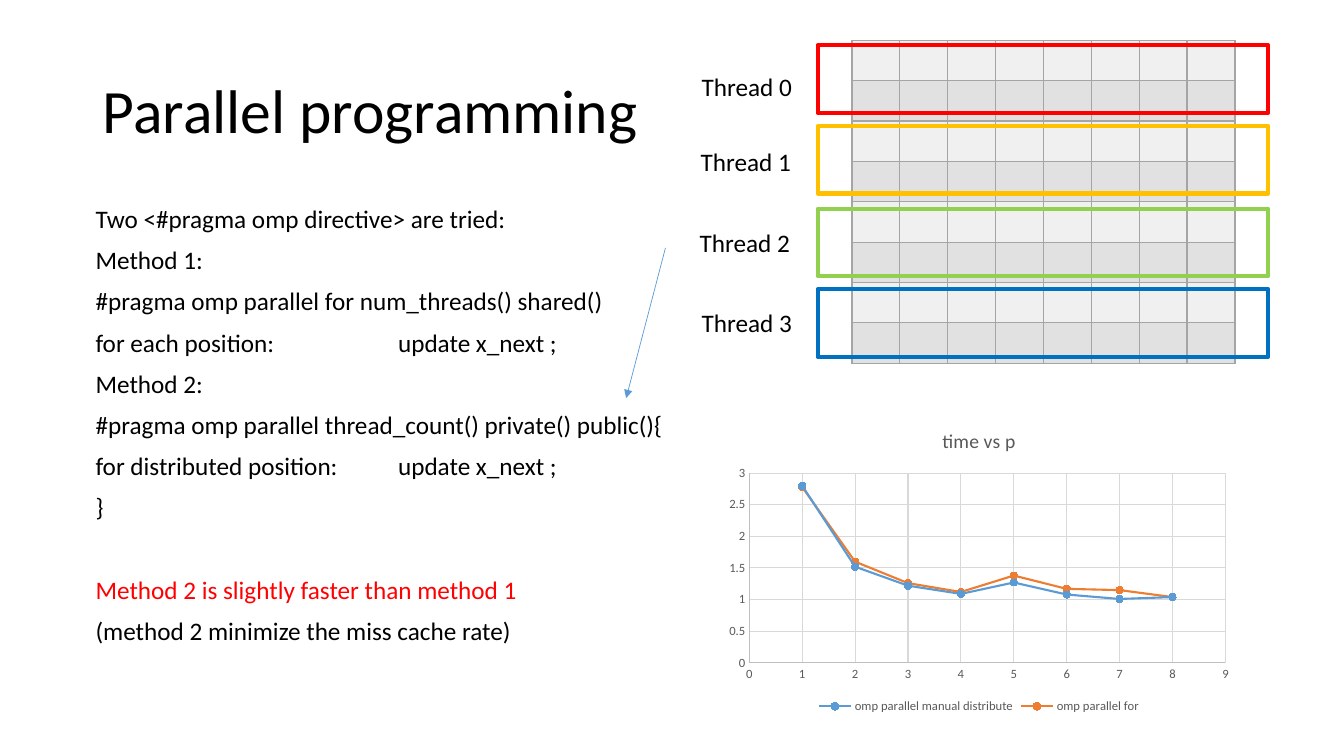
from lxml.etree import SubElement
from pptx import Presentation
from pptx.chart.data import XyChartData
from pptx.dml.color import RGBColor
from pptx.enum.chart import XL_CHART_TYPE, XL_LEGEND_POSITION, XL_MARKER_STYLE, XL_TICK_MARK
from pptx.enum.shapes import MSO_CONNECTOR, MSO_SHAPE
from pptx.enum.text import MSO_ANCHOR, MSO_AUTO_SIZE, PP_ALIGN
from pptx.oxml import parse_xml
from pptx.oxml.ns import nsdecls, qn
from pptx.util import Pt

# Content
FONT = "Calibri"
COLORS = {
    "text": "000000", "accent": "FF0000", "chart text": "595959",
    "axis": "BFBFBF", "grid": "D9D9D9", "border": "A5A5A5",
    "light row": "F0F0F0", "dark row": "E1E1E1",
    "blue": "5B9BD5", "orange": "ED7D31",
    "red frame": "FF0000", "yellow frame": "FFC000",
    "green frame": "92D050", "blue frame": "0070C0",
}
TITLE = "Parallel programming"
# (text, color, space before in points)
BODY = [
    ("Two <#pragma omp directive> are tried:", "text", 0),
    ("Method 1:", "text", 10),
    ("#pragma omp parallel for num_threads() shared()", "text", 10),
    ("for each position:\tupdate x_next ;", "text", 10),
    ("Method 2:", "text", 10),
    ("#pragma omp parallel thread_count() private() public(){", "text", 10),
    ("for distributed position:\tupdate x_next ;", "text", 10),
    ("}", "text", 10),
    ("Method 2 is slightly faster than method 1", "accent", 39.5),
    ("(method 2 minimize the miss cache rate)", "text", 10),
]
# (label, label left, label top, frame top, frame color)
THREADS = [
    ("Thread 0", 686, 66, 45, "red frame"),
    ("Thread 1", 685, 140, 125, "yellow frame"),
    ("Thread 2", 684, 221, 207, "green frame"),
    ("Thread 3", 686, 300, 287, "blue frame"),
]
CHART_TITLE = "time vs p"
SERIES = [
    ("omp parallel manual distribute", "blue", [2.8, 1.52, 1.22, 1.09, 1.27, 1.08, 1.01, 1.04]),
    ("omp parallel for", "orange", [2.78, 1.6, 1.26, 1.12, 1.38, 1.17, 1.15, 1.04]),
]
GRID_SIZE = 8
PX = 9144  # EMU per px, 100 px to the inch


def px(*lengths):
    return [round(length * PX) for length in lengths]


def rgb(name):
    return RGBColor.from_string(COLORS[name])


def format_font(font, size, color):
    font.name = FONT
    font.size = Pt(size)
    font.bold = False
    font.color.rgb = rgb(color)


def format_line(line, color, width):
    line.color.rgb = rgb(color)
    line.width = Pt(width)


def write(frame, text, size=18, color="text", space_before=0, line_spacing=1.0, tab=None, add=False):
    paragraph = frame.add_paragraph() if add else frame.paragraphs[0]
    paragraph.alignment = PP_ALIGN.LEFT
    paragraph.line_spacing = line_spacing
    paragraph.space_before = Pt(space_before)
    if tab:
        tabs = SubElement(paragraph._p.get_or_add_pPr(), qn("a:tabLst"))
        SubElement(tabs, qn("a:tab"), pos=str(tab * PX), algn="l")
    run = paragraph.add_run()
    run.text = text
    format_font(run.font, size, color)


presentation = Presentation()
presentation.slide_width, presentation.slide_height = px(1333, 750)
slide = presentation.slides.add_slide(presentation.slide_layouts[5])
shapes = slide.shapes

# Title
title = shapes.title
title.left, title.top, title.width, title.height = px(92, 40, 1150, 145)
title.text_frame.auto_size = MSO_AUTO_SIZE.NONE
title.text_frame.vertical_anchor = MSO_ANCHOR.MIDDLE
write(title.text_frame, TITLE, size=44, line_spacing=0.9)

# Body
body = shapes.add_textbox(*px(85, 200, 1150, 485)).text_frame
body.word_wrap = True
for index, (text, color, space) in enumerate(BODY):
    write(body, text, color=color, space_before=space, line_spacing=0.9,
          tab=300 if "\t" in text else None, add=index > 0)

# Chart
data = XyChartData()
for name, _, values in SERIES:
    series_data = data.add_series(name)
    for x, value in enumerate(values, start=1):
        series_data.add_data_point(x, value)
chart = shapes.add_chart(XL_CHART_TYPE.XY_SCATTER_SMOOTH, *px(713, 409, 516, 303), data).chart
format_font(chart.font, 10, "text")
chart.has_title = True
write(chart.chart_title.text_frame, CHART_TITLE, size=14, color="chart text")
chart.chart_title.include_in_layout = False
chart.has_legend = True
chart.legend.position = XL_LEGEND_POSITION.BOTTOM
chart.legend.include_in_layout = False
format_font(chart.legend.font, 9, "chart text")
for axis, maximum, step in ((chart.category_axis, 9, 1), (chart.value_axis, 3, 0.5)):
    axis.minimum_scale, axis.maximum_scale, axis.major_unit = 0, maximum, step
    axis.major_tick_mark = axis.minor_tick_mark = XL_TICK_MARK.NONE
    axis.has_major_gridlines = True
    format_line(axis.major_gridlines.format.line, "grid", 0.75)
    format_line(axis.format.line, "axis", 0.75)
    axis.tick_labels.number_format = "General"
    axis.tick_labels.number_format_is_linked = False
    format_font(axis.tick_labels.font, 9, "chart text")
for series, (_, color, _) in zip(chart.plots[0].series, SERIES):
    series.smooth = True
    format_line(series.format.line, color, 1.5)
    series.marker.style = XL_MARKER_STYLE.CIRCLE
    series.marker.size = 5
    series.marker.format.fill.solid()
    series.marker.format.fill.fore_color.rgb = rgb(color)
    format_line(series.marker.format.line, color, 0.75)

# Table of positions
table = shapes.add_table(GRID_SIZE, GRID_SIZE, *px(845, 40, 380, 320)).table
table.first_row = False
table.horz_banding = False
for row_index, row in enumerate(table.rows):
    for cell in row.cells:
        cell.fill.solid()
        cell.fill.fore_color.rgb = rgb("dark row" if row_index % 2 else "light row")
        properties = cell._tc.get_or_add_tcPr()
        for position, side in enumerate(("lnL", "lnR", "lnT", "lnB")):
            properties.insert(position, parse_xml(
                f'<a:{side} {nsdecls("a")} w="12700"><a:solidFill>'
                f'<a:srgbClr val="{COLORS["border"]}"/></a:solidFill></a:{side}>'))

# Thread frames and labels
for _, _, _, top, color in THREADS:
    frame = shapes.add_shape(MSO_SHAPE.RECTANGLE, *px(811, top, 447, 67))
    frame.shadow.inherit = False
    frame.fill.background()
    format_line(frame.line, color, 3)
for text, left, top, _, _ in THREADS:
    label = shapes.add_textbox(*px(left, top, 121, 40)).text_frame
    label.word_wrap = True
    write(label, text)

# Arrow from the threads to method 2
arrow = shapes.add_connector(MSO_CONNECTOR.STRAIGHT, *px(660, 246, 621, 395))
format_line(arrow.line, "blue", 0.5)
SubElement(arrow.line._get_or_add_ln(), qn("a:tailEnd"), type="triangle")
SubElement(arrow._element.spPr, qn("a:effectLst"))

presentation.save("out.pptx")
